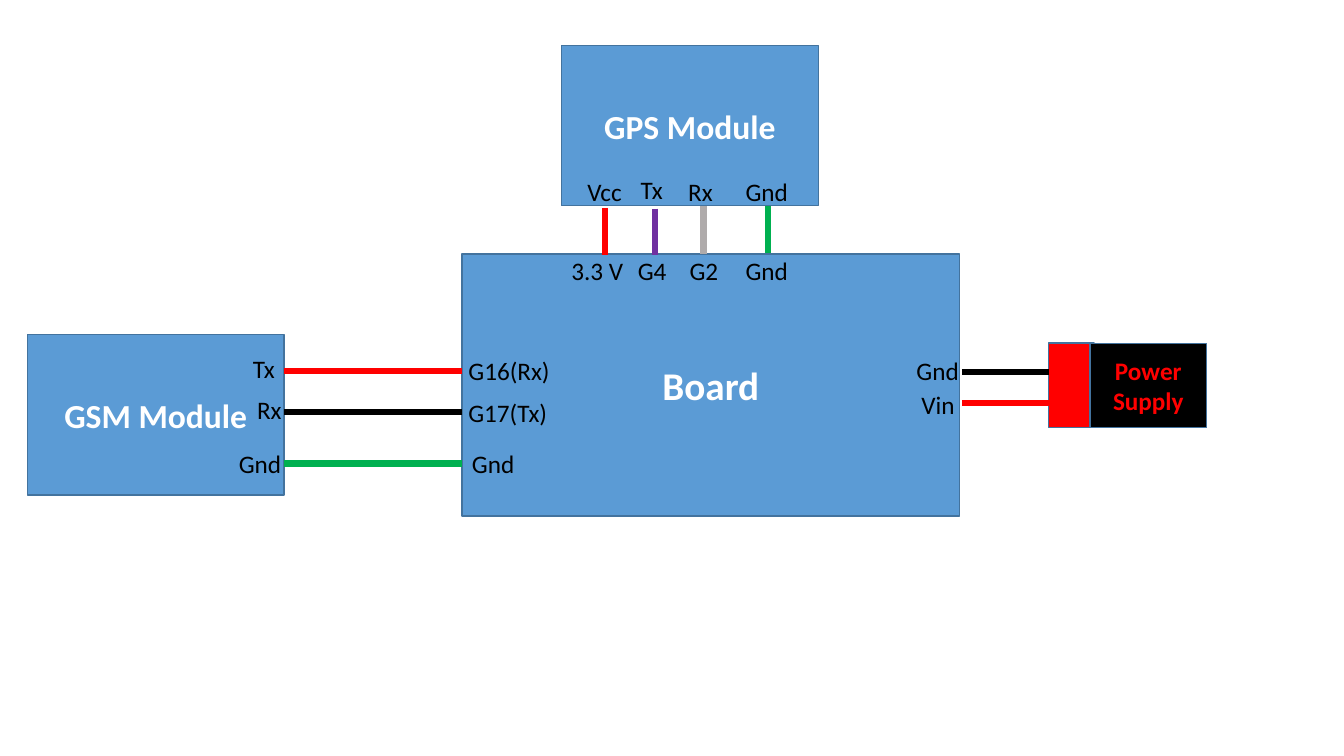
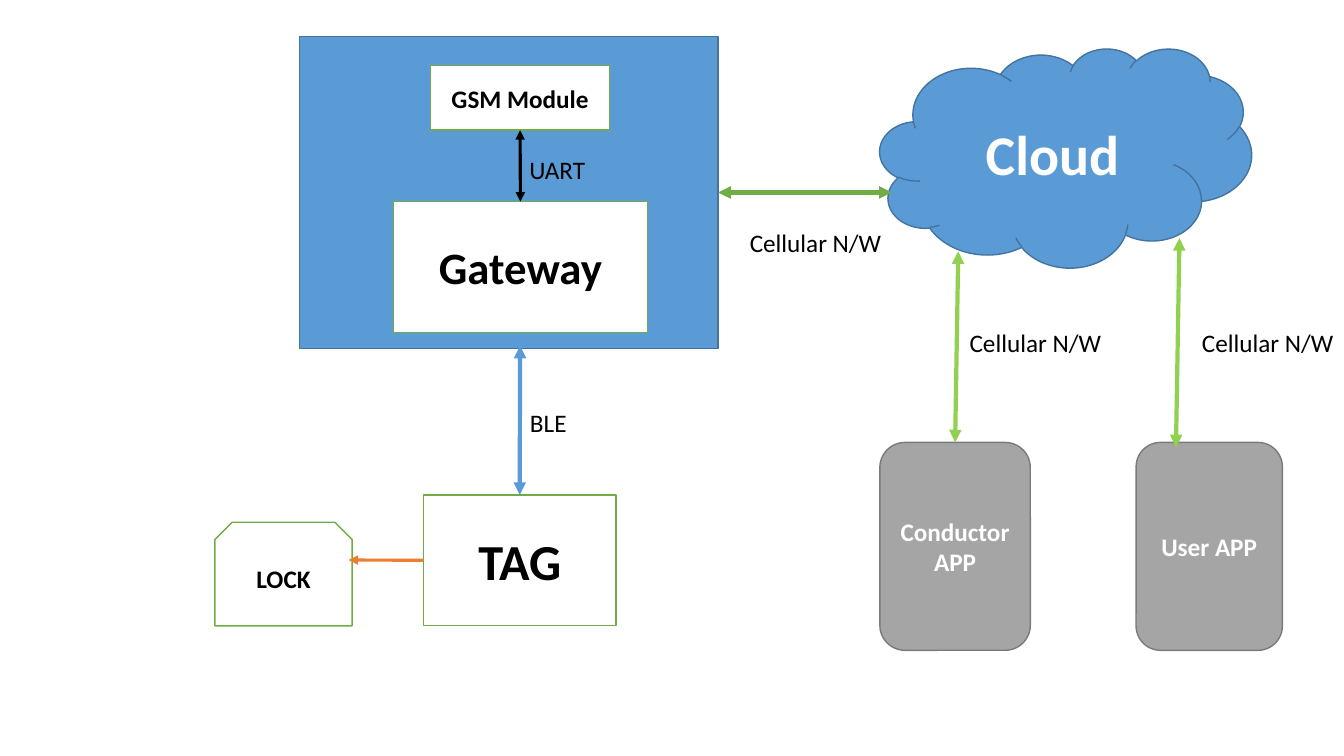
import pptx
import pptx.dml.color
import pptx.enum.shapes
import pptx.enum.text
import pptx.oxml.ns
import pptx.util
from lxml import etree

Pt = pptx.util.Pt
SHAPES = pptx.enum.shapes.MSO_SHAPE
TEXT = pptx.enum.text

BLUE, NAVY, WHITE, BLACK = "5B9BD5", "43739E", "FFFFFF", "000000"
RED, GREEN, LEAF, LIME = "FF0000", "00B050", "70AD47", "92D050"
GREY, SLATE, PURPLE, SILVER, ORANGE = "A5A5A5", "7A7A7A", "7030A0", "AFABAB", "ED7D31"

# Style: fill, outline, text colour
STYLES = {
    "module": (BLUE, NAVY, WHITE),
    "terminal": (RED, NAVY, WHITE),
    "supply": (BLACK, NAVY, RED),
    "card": (WHITE, LEAF, BLACK),
    "app": (GREY, SLATE, WHITE),
}
LABEL_HEIGHT = 29
LABEL_WIDTHS = {
    "Gnd": 45.5, "Vin": 39, "Tx": 30, "Rx": 32.5, "Vcc": 39.5, "3.3 V": 52,
    "G4": 35.5, "G2": 35.5, "G16(Rx)": 73.5, "G17(Tx)": 71.5,
    "UART": 54.5, "BLE": 41, "Cellular N/W": 108.5,
}

# Boxes: text, size, style, shape, (left, top, width, height)
WIRING_BOXES = [
    ("Board", 28, "module", SHAPES.RECTANGLE, (330, 181.5, 355.5, 187)),
    ("", 18, "terminal", SHAPES.RECTANGLE, (749, 245, 32.5, 60.5)),
    ("Power Supply", 18, "supply", SHAPES.RECTANGLE, (778.5, 245.5, 83.5, 60)),
    ("GSM Module", 24, "module", SHAPES.RECTANGLE, (19.5, 239, 183.5, 114.5)),
    ("GPS Module", 24, "module", SHAPES.RECTANGLE, (401, 32.5, 183.5, 114.5)),
]
# Wires: colour, start, end, then pins as (text, left, top)
WIRES = [
    (RED, (432, 148.5), (432, 182), [("Vcc", 412.5, 122.5), ("3.3 V", 401, 179)]),
    (PURPLE, (468, 149), (468, 182), [("Tx", 450.5, 121), ("G4", 448.5, 179)]),
    (SILVER, (502.5, 147.5), (502.5, 181.5), [("Rx", 484.5, 122.5), ("G2", 485.5, 179)]),
    (GREEN, (548.5, 147), (548.5, 180.5), [("Gnd", 525.5, 122.5), ("Gnd", 525.5, 179)]),
    (RED, (330, 265), (203, 265), [("Tx", 173.5, 249), ("G16(Rx)", 327.5, 250.5)]),
    (BLACK, (330, 294.5), (203, 294.5), [("Rx", 176.5, 278), ("G17(Tx)", 327.5, 280)]),
    (GREEN, (330, 331), (203, 331), [("Gnd", 163.5, 317), ("Gnd", 330, 317)]),
    (BLACK, (687, 265.5), (749, 265.5), [("Gnd", 647.5, 250.5)]),
    (RED, (687, 288), (749, 288), [("Vin", 651, 274.5)]),
]

SYSTEM_BOXES = [
    ("", 18, "module", SHAPES.RECTANGLE, (214, 26, 299, 223)),
    ("Gateway", 32, "card", SHAPES.RECTANGLE, (281, 144, 181.5, 93.5)),
    ("GSM Module", 18, "card", SHAPES.RECTANGLE, (307.5, 47, 128, 46)),
    ("TAG", 36, "card", SHAPES.RECTANGLE, (302.5, 353.5, 137.5, 93.5)),
    ("LOCK", 18, "card", SHAPES.SNIP_2_SAME_RECTANGLE, (153.5, 373, 98, 74)),
    ("Cloud", 40, "module", SHAPES.CLOUD, (628.5, 34.5, 265.5, 156.5)),
    ("Conductor APP", 18, "app", SHAPES.ROUNDED_RECTANGLE, (628.5, 316, 107.5, 148.5)),
    ("User APP", 18, "app", SHAPES.ROUNDED_RECTANGLE, (811.5, 316, 104.5, 148.5)),
]
TOP, LEFT, BOTTOM, RIGHT = range(4)
BOTH_ENDS = ("headEnd", "tailEnd")
# Links: colour, width, start, end, arrowheads; an end is a point or (box text, side)
LINKS = [
    (BLACK, 2.25, ("GSM Module", BOTTOM), ("Gateway", TOP), BOTH_ENDS),
    (BLUE, 3, (371.5, 247), ("TAG", TOP), BOTH_ENDS),
    (ORANGE, 2.25, ("TAG", LEFT), (249, 400), ("tailEnd",)),
    (LEAF, 3, ("", RIGHT), (637, 137.5), BOTH_ENDS),
    (LIME, 3, (684.5, 179.5), ("Conductor APP", TOP), BOTH_ENDS),
    (LIME, 3, (842.5, 170), (840, 319.5), BOTH_ENDS),
]
LINK_LABELS = [
    ("UART", 371, 106.5), ("BLE", 371.5, 287.5), ("Cellular N/W", 528.5, 159),
    ("Cellular N/W", 685.5, 230.5), ("Cellular N/W", 851.5, 230.5),
]


def color(hex_code):
    return pptx.dml.color.RGBColor.from_string(hex_code)


def write(frame, text, size, text_color, bold, align):
    paragraph = frame.paragraphs[0]
    paragraph.alignment = align
    run = paragraph.add_run()
    run.text = text
    run.font.color.rgb = color(text_color)
    for name, value in {"name": "Calibri", "size": Pt(size), "bold": bold}.items():
        setattr(run.font, name, value)


def add_boxes(slide, boxes):
    """Draw the boxes and return them by their text."""
    drawn = {}
    for text, size, style, preset, area in boxes:
        fill, outline, text_color = STYLES[style]
        box = slide.shapes.add_shape(preset, *map(Pt, area))
        box.shadow.inherit = False
        box.fill.solid()
        box.fill.fore_color.rgb = color(fill)
        box.line.color.rgb = color(outline)
        box.line.width = Pt(1)
        if text:
            box.text_frame.word_wrap = True
            box.text_frame.vertical_anchor = TEXT.MSO_ANCHOR.MIDDLE
            write(box.text_frame, text, size, text_color, True, TEXT.PP_ALIGN.CENTER)
        drawn[text] = box
    return drawn


def add_label(slide, text, left, top):
    area = (left, top, LABEL_WIDTHS[text], LABEL_HEIGHT)
    frame = slide.shapes.add_textbox(*map(Pt, area)).text_frame
    frame.word_wrap = False
    frame.auto_size = TEXT.MSO_AUTO_SIZE.SHAPE_TO_FIT_TEXT
    write(frame, text, 18, BLACK, False, TEXT.PP_ALIGN.LEFT)


def add_line(slide, line_color, width, start, end, arrowheads=(), boxes=None):
    """Draw a straight line, joining each end that names a box."""
    points = [(0, 0) if isinstance(point[0], str) else point for point in (start, end)]
    line = slide.shapes.add_connector(
        pptx.enum.shapes.MSO_CONNECTOR.STRAIGHT, *map(Pt, points[0] + points[1]))
    for point, join in ((start, line.begin_connect), (end, line.end_connect)):
        if isinstance(point[0], str):
            join(boxes[point[0]], point[1])
    line.line.color.rgb = color(line_color)
    line.line.width = Pt(width)
    properties = line.line._get_or_add_ln()
    for arrowhead in arrowheads:
        etree.SubElement(properties, pptx.oxml.ns.qn("a:" + arrowhead), type="triangle")
    etree.SubElement(properties.getparent(), pptx.oxml.ns.qn("a:effectLst"))


def build_wiring(slide):
    add_boxes(slide, WIRING_BOXES)
    for wire_color, start, end, pins in WIRES:
        add_line(slide, wire_color, 4.5, start, end)
        for pin in pins:
            add_label(slide, *pin)


def build_system(slide):
    boxes = add_boxes(slide, SYSTEM_BOXES)
    for link in LINKS:
        add_line(slide, *link, boxes=boxes)
    for label in LINK_LABELS:
        add_label(slide, *label)


def main():
    deck = pptx.Presentation()
    deck.slide_width, deck.slide_height = Pt(960), Pt(540)
    for build in (build_wiring, build_system):
        build(deck.slides.add_slide(deck.slide_layouts[6]))
    deck.save("out.pptx")


if __name__ == "__main__":
    main()
